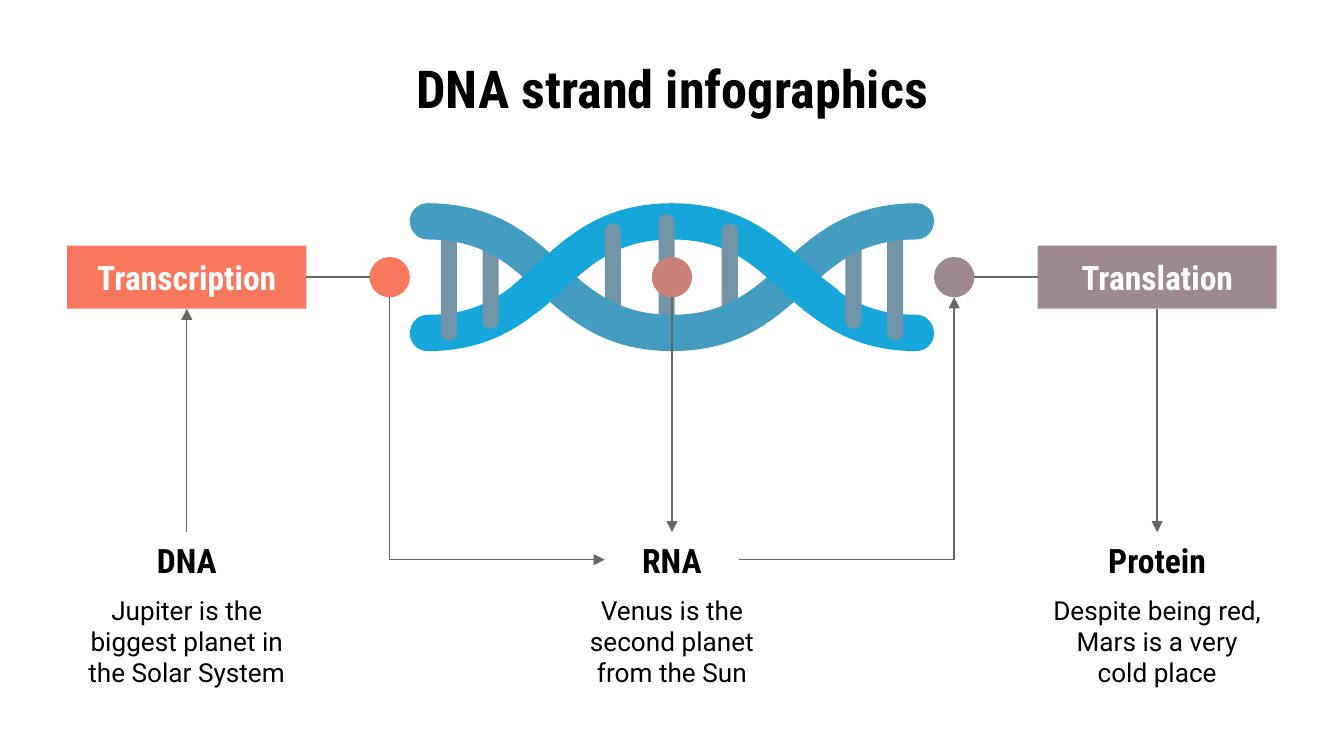
import lxml.etree
import pptx
import pptx.dml.color
import pptx.enum.shapes
import pptx.enum.text
import pptx.oxml.ns
import pptx.util

WIDE = 10
HIGH = WIDE * 9 / 16
MID = WIDE / 2
AXIS = HIGH * 11 / 30  # height of the strand's axis
COLS = (1.39, MID, WIDE - 1.39)
BOX = 1.78
HEAD, BODY = 3.96, 4.37  # tops of the captions and their notes
HEAD_MID = (HEAD + BODY) / 2
DOT = 0.3
DOT_X = (2.9, MID, WIDE - 2.9)
CORAL, ROSE, MAUVE = "F7785C", "CA8175", "9D8A8E"
BLUE, TEAL, STEEL, GREY = "17A6DA", "449DC1", "7194A8", "666666"
BOLD = "Roboto Condensed"

NOTES = (
    ("DNA", "Jupiter is the biggest planet in the Solar System"),
    ("RNA", "Venus is the second planet from the Sun"),
    ("Protein", "Despite being red, Mars is a very cold place"),
)
# Offset from the middle and height of each rung
RUNGS = ((1.66, 0.98), (1.35, 0.81), (-1.66, 0.98), (-1.35, 0.81),
         (0.43, 0.84), (-0.44, 0.84), (-0.04, 0.98))
# Left half of a strand, as Bezier knots measured from its centre
HALF = ((0, -0.28), (-0.4, -0.28), (-0.6, -0.1), (-0.82, 0.1),
        (-1.05, 0.31), (-1.31, 0.55), (-1.82, 0.55),
        (-1.89, 0.55), (-1.95, 0.49), (-1.95, 0.42),
        (-1.95, 0.34), (-1.89, 0.28), (-1.82, 0.28),
        (-1.42, 0.28), (-1.22, 0.11), (-1, -0.1),
        (-0.77, -0.31), (-0.51, -0.55), (0, -0.55))
# Pieces of the front strand laid over the two crossings
PATCHES = (
    ((-0.56, -0.18), (-0.56, -0.21), (-0.57, -0.24), (-0.59, -0.26),
     (-0.64, -0.32), (-0.72, -0.33), (-0.78, -0.29),
     (-0.86, -0.23), (-0.93, -0.16), (-1, -0.1),
     (-1.06, -0.05), (-1.11, 0), (-1.17, 0.05),
     (-1.2, 0.07), (-1.22, 0.11), (-1.22, 0.15),
     (-1.22, 0.27), (-1.08, 0.33), (-1, 0.26),
     (-0.93, 0.21), (-0.87, 0.15), (-0.82, 0.1),
     (-0.75, 0.04), (-0.69, -0.02), (-0.62, -0.07),
     (-0.58, -0.1), (-0.56, -0.14), (-0.56, -0.18)),
    ((1.28, 0.2), (1.28, 0.16), (1.26, 0.12), (1.23, 0.09),
     (1.15, 0.03), (1.07, -0.03), (1, -0.1),
     (0.92, -0.17), (0.84, -0.24), (0.76, -0.3),
     (0.67, -0.37), (0.54, -0.31), (0.54, -0.2),
     (0.54, -0.15), (0.56, -0.11), (0.6, -0.09),
     (0.67, -0.03), (0.75, 0.04), (0.82, 0.1),
     (0.9, 0.18), (0.98, 0.25), (1.07, 0.31),
     (1.13, 0.36), (1.21, 0.34), (1.26, 0.28),
     (1.27, 0.26), (1.28, 0.23), (1.28, 0.2)),
)


def inch(*sizes):
    return [pptx.util.Inches(size) for size in sizes]


def color(code):
    return pptx.dml.color.RGBColor.from_string(code)


def paint(shape, code):
    shape.shadow.inherit = False
    shape.fill.solid()
    shape.fill.fore_color.rgb = color(code)
    shape.line.fill.background()
    return shape


def write(shape, text, size, font, code="000000"):
    frame = shape.text_frame
    frame.word_wrap = True
    frame.vertical_anchor = pptx.enum.text.MSO_ANCHOR.MIDDLE
    (frame.margin_left, frame.margin_top,
     frame.margin_right, frame.margin_bottom) = inch(0.1, 0.1, 0.1, 0.1)
    line = frame.paragraphs[0]
    line.text = text
    line.alignment = pptx.enum.text.PP_ALIGN.CENTER
    line.font.size = pptx.util.Pt(size)
    line.font.name = font
    line.font.bold = font == BOLD
    line.font.color.rgb = color(code)


def label(slide, x, top, wide, high, text, size, font):
    """Add a text box centred on x."""
    box = slide.shapes.add_textbox(*inch(x - wide / 2, top, wide, high))
    write(box, text, size, font)
    return box


def block(slide, kind, x, y, wide, high, code):
    """Add a filled preset shape centred on (x, y)."""
    kind = getattr(pptx.enum.shapes.MSO_SHAPE, kind)
    place = inch(x - wide / 2, y - high / 2, wide, high)
    return paint(slide.shapes.add_shape(kind, *place), code)


def curve(slide, knots, code):
    """Fill a closed chain of cubic Beziers around the strand's centre."""
    spots = [inch(MID + x, AXIS + y) for x, y in knots]
    form = slide.shapes.build_freeform(*spots[0])
    form.add_line_segments(spots[1:], close=False)
    shape = paint(form.convert_to_shape(), code)
    qn = pptx.oxml.ns.qn
    track = next(shape._element.iter(qn("a:path")))
    lines = track.findall(qn("a:lnTo"))
    for i in range(0, len(lines), 3):
        bend = lxml.etree.SubElement(track, qn("a:cubicBezTo"))
        for line in lines[i:i + 3]:
            bend.append(line[0])
            track.remove(line)
    lxml.etree.SubElement(track, qn("a:close"))


def strand(slide, sign, code):
    left = [(x, sign * y) for x, y in HALF]
    right = [(-x, y) for x, y in reversed(left)]
    curve(slide, left + right[1:], code)


def rung(slide, x, high):
    a, b, tip = x - 0.06, x + 0.06, high / 2
    end = tip - 0.08
    curve(slide, ((b, -end), (b, -tip), (a, -tip), (a, -end),
                  (a, -end), (a, end), (a, end),
                  (a, tip), (b, tip), (b, end)), STEEL)


def helix(slide):
    strand(slide, 1, BLUE)
    for shift, high in RUNGS:
        rung(slide, shift, high)
    strand(slide, -1, TEAL)
    for patch in PATCHES:
        curve(slide, patch, BLUE)


def link(slide, start, end, tip=None, bent=False):
    """Join two points; tip names the end that has an arrowhead."""
    kinds = pptx.enum.shapes.MSO_CONNECTOR
    kind = kinds.ELBOW if bent else kinds.STRAIGHT
    line = slide.shapes.add_connector(kind, *inch(*start, *end))
    line.line.color.rgb = color(GREY)
    line.line.width = pptx.util.Pt(0.75)
    qn = pptx.oxml.ns.qn
    props = line._element.spPr
    if bent:
        props.find(qn("a:prstGeom")).set("prst", "bentConnector2")
    if tip:
        lxml.etree.SubElement(props.find(qn("a:ln")), qn(f"a:{tip}End"),
                              type="triangle")
    lxml.etree.SubElement(props, qn("a:effectLst"))
    return line


def main():
    deck = pptx.Presentation()
    deck.slide_width, deck.slide_height = inch(WIDE, HIGH)
    slide = deck.slides.add_slide(deck.slide_layouts[6])
    label(slide, MID, 0.45, 9, 0.41, "DNA strand infographics", 28, BOLD)
    helix(slide)

    heads = []
    for x, (name, note) in zip(COLS, NOTES):
        heads.append(label(slide, x, HEAD, 1, 0.41, name, 18, BOLD))
        label(slide, x, BODY, BOX, 0.8, note, 14, "Roboto")
    tags = []
    for x, name, code in ((COLS[0], "Transcription", CORAL),
                          (COLS[2], "Translation", MAUVE)):
        tag = block(slide, "RECTANGLE", x, AXIS, BOX, 0.47, code)
        write(tag, name, 18, BOLD, "FFFFFF")
        tags.append(tag)
    for x, code in zip(DOT_X, (CORAL, ROSE, MAUVE)):
        block(slide, "OVAL", x, AXIS, DOT, DOT, code)

    foot = AXIS + DOT / 2
    base = AXIS + 0.47 / 2
    rise = link(slide, (COLS[0], HEAD), (COLS[0], base), "tail")
    rise.begin_connect(heads[0], 0)
    rise.end_connect(tags[0], 2)
    fall = link(slide, (COLS[2], base), (COLS[2], HEAD), "tail")
    fall.begin_connect(tags[1], 2)
    fall.end_connect(heads[2], 0)
    drop = link(slide, (MID, foot), (MID, HEAD), "tail")
    drop.end_connect(heads[1], 0)
    for side, x, tip in ((-1, DOT_X[0], "head"), (1, DOT_X[2], "tail")):
        link(slide, (MID + side * 0.5, HEAD_MID), (x, foot), tip, True)
    for tag, site, side, x, col in ((tags[0], 3, -1, DOT_X[0], COLS[0]),
                                    (tags[1], 1, 1, DOT_X[2], COLS[2])):
        stem = link(slide, (col - side * BOX / 2, AXIS),
                    (x + side * DOT / 2, AXIS))
        stem.begin_connect(tag, site)
    deck.save("out.pptx")


if __name__ == "__main__":
    main()
